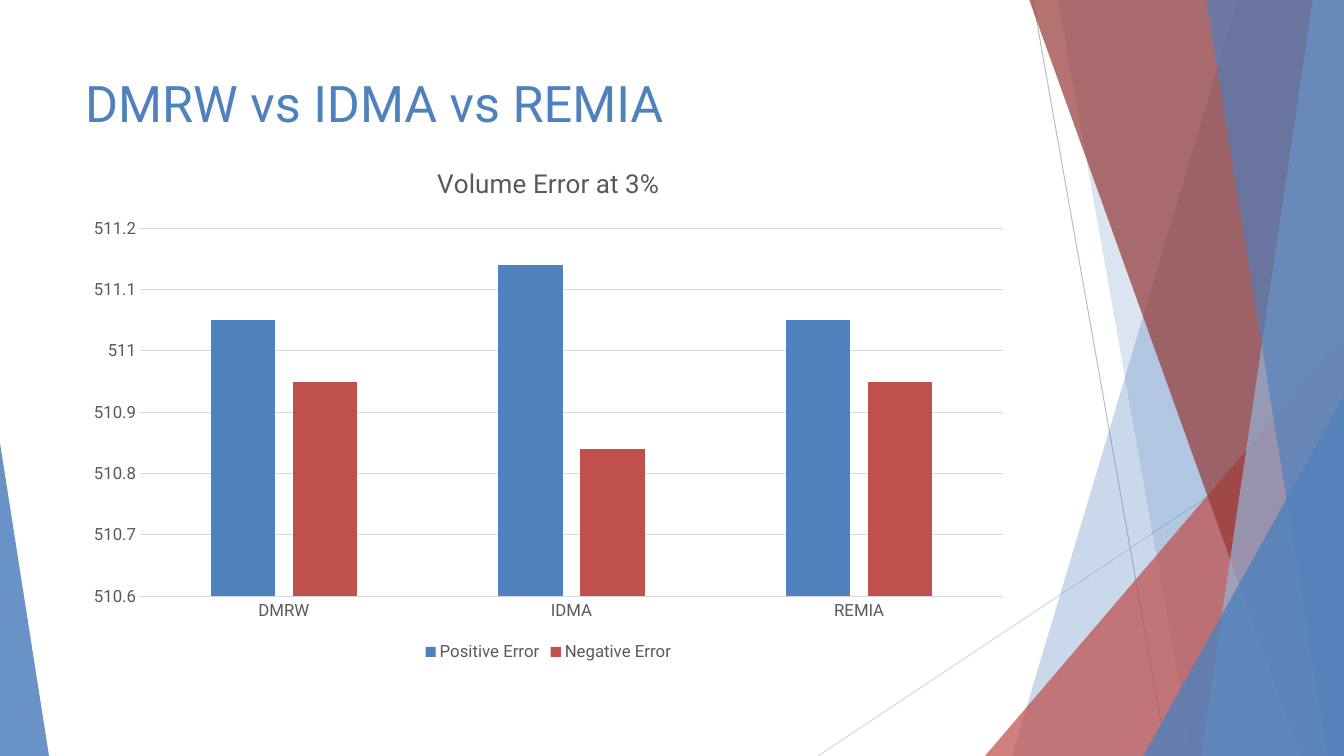
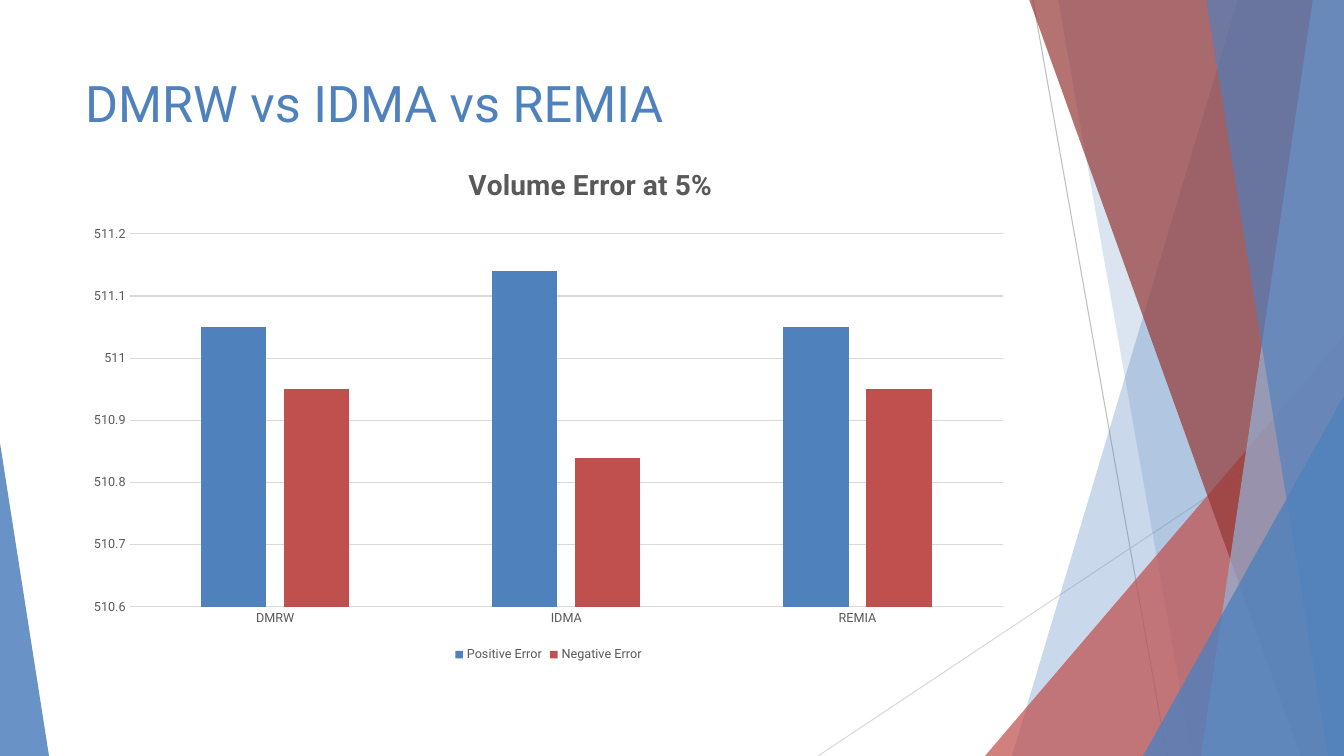
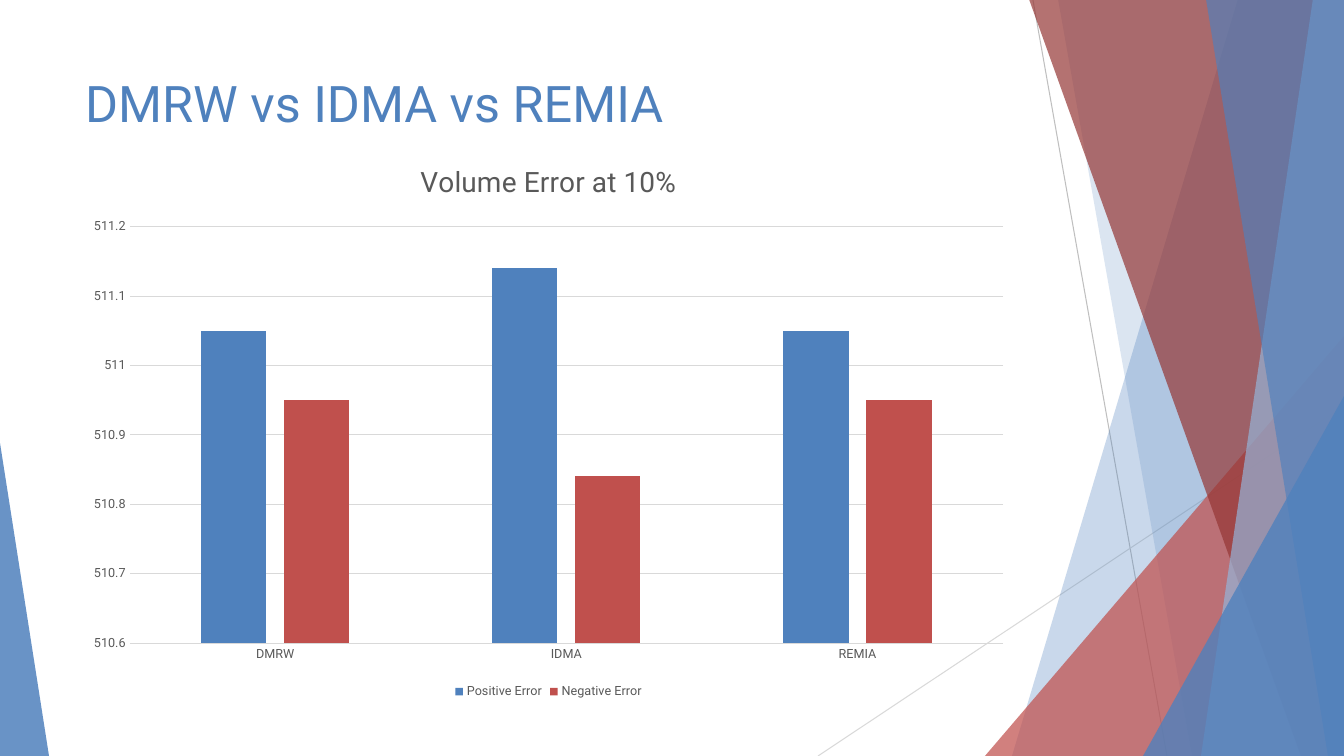
from pptx import Presentation
from pptx.chart.data import CategoryChartData
from pptx.dml.color import RGBColor
from pptx.enum.chart import XL_CHART_TYPE as ChartType, XL_LEGEND_POSITION as LegendSpot
from pptx.enum.chart import XL_TICK_MARK as TickMark
from pptx.enum.shapes import MSO_CONNECTOR as Connector, MSO_SHAPE as Preset
from pptx.enum.text import MSO_ANCHOR as Anchor, PP_ALIGN as Align
from pptx.oxml import parse_xml
from pptx.oxml.ns import nsdecls, qn
from pptx.oxml.xmlchemy import OxmlElement
from pptx.util import Pt

EMU_PER_PX = 914400 / 100.8
SLIDE_W, SLIDE_H = 1344, 756
FONT = "Roboto"
COLORS = {
    "blue": "4F81BD", "pale_blue": "95B3D7", "red": "C0504D", "dark_red": "953735",
    "chart_text": "595959", "grid": "D9D9D9", "dark_ray": "BFBFBF",
}

# Facet decoration: rays are (x1, y1, x2, y2, colour)
RAYS = [(1033, 0, 1167, 756, "dark_ray"), (1344, 406, 818, 756, "grid")]
# Slabs reach the right edge: (top x, bottom x, colour, opacity %)
SLABS_BACK = [(1238, 1012, "blue", 30), (1058, 1192, "blue", 20)]
SLABS_FRONT = [(1029, 1301, "dark_red", 70), (1313, 1201, "pale_blue", 70),
               (1206, 1328, "blue", 65)]
# Triangles stand on the bottom edge: (left, top, width, apex, colour, opacity %)
RED_CORNER = (985, 336, 359, 1, "red", 72)
CORNERS_FRONT = [(1143, 396, 201, 1, "blue", 80), (0, 443, 49, 0, "blue", 85)]

HEADING = "DMRW vs IDMA vs REMIA"
METHODS = ["DMRW", "IDMA", "REMIA"]
VOLUMES = [
    ("Positive Error", "blue", (511.05, 511.14, 511.05)),
    ("Negative Error", "red", (510.95, 510.84, 510.95)),
]
LEFT, CONTENT_W = 75, 947
# base_pt is the title paragraph's own size, which sets the padding around it
SLIDES = [
    {"title": "Volume Error at 3%", "title_pt": 18.6, "base_pt": 18.6, "label_pt": 12,
     "top": 146, "height": 520, "heading_h": 97},
    {"title": "Volume Error at 5%", "title_pt": 20, "base_pt": 14, "label_pt": 9,
     "bold": True, "title_at": (0.41, 0.02), "top": 150, "height": 516, "heading_h": 145},
    {"title": "Volume Error at 10%", "title_pt": 20, "base_pt": 14, "label_pt": 9,
     "top": 141, "height": 562, "heading_h": 145},
]


def px(length):
    return round(length * EMU_PER_PX)


def rgb(name):
    return RGBColor.from_string(COLORS[name])


def set_font(font, size, color, bold=False):
    font.name, font.size, font.bold = FONT, Pt(size), bold
    font.color.rgb = rgb(color)


def set_line(line, color):
    line.color.rgb = rgb(color)
    line.width = Pt(0.75)


def paint(shape, color, opacity):
    """Fill a shape with a see-through colour, without outline or shadow."""
    shape.shadow.inherit = False
    shape.line.fill.background()
    shape.fill.solid()
    shape.fill.fore_color.rgb = rgb(color)
    alpha = OxmlElement("a:alpha")
    alpha.set("val", str(opacity * 1000))
    shape.fill._xPr.find(f".//{qn('a:srgbClr')}").append(alpha)
    return shape


def add_ray(shapes, x1, y1, x2, y2, color):
    ray = shapes.add_connector(Connector.STRAIGHT, px(x1), px(y1), px(x2), px(y2))
    set_line(ray.line, color)
    ray._element.spPr.append(OxmlElement("a:effectLst"))
    return ray


def add_slab(shapes, top_x, bottom_x, color, opacity):
    outline = shapes.build_freeform(top_x, -1, scale=EMU_PER_PX)
    outline.add_line_segments([(SLIDE_W, -1), (SLIDE_W, SLIDE_H), (bottom_x, SLIDE_H)])
    return paint(outline.convert_to_shape(), color, opacity)


def add_corner(shapes, left, top, width, apex, color, opacity):
    corner = shapes.add_shape(Preset.ISOSCELES_TRIANGLE, px(left), px(top),
                              px(width), px(SLIDE_H - top))
    corner.adjustments[0] = apex
    return paint(corner, color, opacity)


def decorate_layout(layout, slide):
    """Draw the facets on a slide, then move them to the layout for all slides."""
    shapes = slide.shapes
    facets = [add_ray(shapes, *ray) for ray in RAYS]
    facets += [add_slab(shapes, *slab) for slab in SLABS_BACK]
    facets.append(add_corner(shapes, *RED_CORNER))
    facets += [add_slab(shapes, *slab) for slab in SLABS_FRONT]
    facets += [add_corner(shapes, *corner) for corner in CORNERS_FRONT]
    for facet in facets:
        layout.shapes.element.append(facet._element)


def set_heading(slide, height):
    heading = slide.shapes.title
    heading.left, heading.top = px(LEFT), px(67)
    heading.width, heading.height = px(CONTENT_W), px(height)
    heading.text_frame.vertical_anchor = Anchor.TOP
    paragraph = heading.text_frame.paragraphs[0]
    paragraph.alignment = Align.LEFT
    run = paragraph.add_run()
    run.text = HEADING
    set_font(run.font, 36, "blue")


def set_chart_title(chart, content):
    chart.has_title = True
    paragraph = chart.chart_title.text_frame.paragraphs[0]
    bold = content.get("bold", False)
    set_font(paragraph.font, content["base_pt"], "chart_text", bold)
    run = paragraph.add_run()
    run.text = content["title"]
    set_font(run.font, content["title_pt"], "chart_text", bold)
    if "title_at" in content:
        x, y = content["title_at"]
        chart.chart_title.element.find(qn("c:layout")).append(parse_xml(
            f'<c:manualLayout {nsdecls("c")}><c:xMode val="edge"/><c:yMode val="edge"/>'
            f'<c:x val="{x}"/><c:y val="{y}"/></c:manualLayout>'))


def add_volume_chart(slide, content):
    volumes = CategoryChartData(number_format="General")
    volumes.categories = METHODS
    for name, _, values in VOLUMES:
        volumes.add_series(name, values)
    chart = slide.shapes.add_chart(
        ChartType.COLUMN_CLUSTERED, px(LEFT), px(content["top"]),
        px(CONTENT_W), px(content["height"]), volumes).chart
    label_pt = content["label_pt"]
    set_font(chart.font, label_pt, "chart_text")
    set_chart_title(chart, content)

    plot = chart.plots[0]
    plot.gap_width, plot.overlap, plot.vary_by_categories = 219, -27, False
    for series, (_, color, _) in zip(plot.series, VOLUMES):
        series.format.fill.solid()
        series.format.fill.fore_color.rgb = rgb(color)
        series.invert_if_negative = False

    for axis in (chart.category_axis, chart.value_axis):
        axis.major_tick_mark = axis.minor_tick_mark = TickMark.NONE
        set_font(axis.tick_labels.font, label_pt, "chart_text")
    set_line(chart.category_axis.format.line, "grid")
    scale = chart.value_axis
    scale.minimum_scale, scale.maximum_scale, scale.major_unit = 510.6, 511.2, 0.1
    scale.format.line.fill.background()
    set_line(scale.major_gridlines.format.line, "grid")

    chart.has_legend = True
    chart.legend.position = LegendSpot.BOTTOM
    chart.legend.include_in_layout = False
    set_font(chart.legend.font, label_pt, "chart_text")


def main():
    deck = Presentation()
    deck.slide_width, deck.slide_height = px(SLIDE_W), px(SLIDE_H)
    layout = deck.slide_layouts[5]
    for number, content in enumerate(SLIDES):
        slide = deck.slides.add_slide(layout)
        if number == 0:
            decorate_layout(layout, slide)
        set_heading(slide, content["heading_h"])
        add_volume_chart(slide, content)
    deck.save("out.pptx")


if __name__ == "__main__":
    main()
